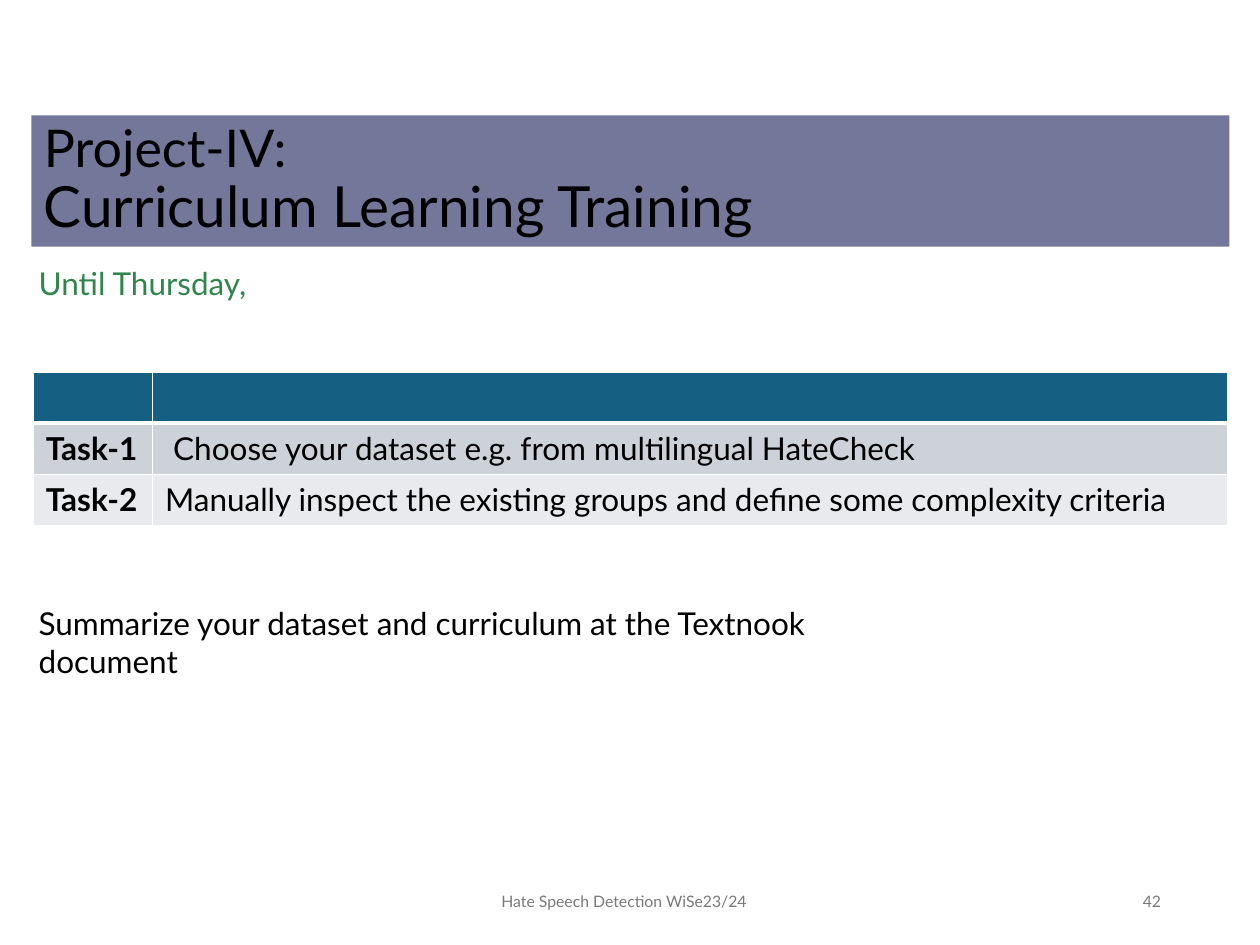
from lxml import etree
from pptx import Presentation
from pptx.dml.color import RGBColor
from pptx.enum.shapes import MSO_SHAPE
from pptx.enum.text import MSO_ANCHOR, PP_ALIGN
from pptx.oxml.ns import qn
from pptx.util import Pt

RECTANGLE = MSO_SHAPE.RECTANGLE
MIDDLE = MSO_ANCHOR.MIDDLE
LEFT, CENTER, RIGHT = PP_ALIGN.LEFT, PP_ALIGN.CENTER, PP_ALIGN.RIGHT
FONT = "Lato"
COLORS = {
    "banner": "73789B",
    "text": "000000",
    "deadline": "2F854C",
    "footer": "797979",
    "header_row": "156082",
    "odd_row": "CCD2D8",
    "even_row": "E8EAED",
    "border": "FFFFFF",
}
LINE_HEIGHT = 21.6
TASKS = [
    ("Task-1", " Choose your dataset e.g. from multilingual HateCheck"),
    ("Task-2", "Manually inspect the existing groups and define some complexity criteria"),
]


def color(name):
    """Return the named colour."""
    return RGBColor.from_string(COLORS[name])


def set_font(font, size, color_name, bold=False):
    """Set typeface, size, colour and weight of a font."""
    font.name = FONT
    font.size = Pt(size)
    font.bold = bold
    font.color.rgb = color(color_name)


def add_title(slide, lines, box):
    """Add the filled title banner with one sized run per line."""
    shape = slide.shapes.add_shape(RECTANGLE, *map(Pt, box))
    shape.shadow.inherit = False
    shape.fill.solid()
    shape.fill.fore_color.rgb = color("banner")
    shape.line.fill.background()
    shape.text_frame.word_wrap = True
    shape.text_frame.vertical_anchor = MIDDLE
    paragraph = shape.text_frame.paragraphs[0]
    paragraph.alignment = LEFT
    paragraph.line_spacing = 0.9
    for index, (text, size) in enumerate(lines):
        if index:
            paragraph.add_line_break()
        run = paragraph.add_run()
        run.text = text
        set_font(run.font, size, "text")


def add_body(slide, box):
    """Add the deadline and the closing instruction."""
    frame = slide.shapes.add_textbox(*map(Pt, box)).text_frame
    frame.word_wrap = True
    frame.margin_top = Pt(3.6 + LINE_HEIGHT)
    deadline = frame.paragraphs[0]
    deadline.text = "Until Thursday,"
    set_font(deadline.font, 18, "deadline")
    summary = frame.add_paragraph()
    summary.text = "Summarize your dataset and curriculum at the Textnook document"
    summary.space_before = Pt(8 * LINE_HEIGHT)
    set_font(summary.font, 18, "text")


def add_footer(slide, text, alignment, box):
    """Add one small grey footer text."""
    frame = slide.shapes.add_textbox(*map(Pt, box)).text_frame
    frame.word_wrap = True
    frame.vertical_anchor = MIDDLE
    paragraph = frame.paragraphs[0]
    paragraph.text = text
    paragraph.alignment = alignment
    set_font(paragraph.font, 9, "footer")


def style_cell(cell, fill_name, bottom_width):
    """Fill a cell and draw its white borders."""
    properties = cell._tc.get_or_add_tcPr()
    for side, width in (("L", 1), ("R", 1), ("T", 1), ("B", bottom_width)):
        line = etree.SubElement(properties, qn(f"a:ln{side}"), w=str(Pt(width)))
        fill = etree.SubElement(line, qn("a:solidFill"))
        etree.SubElement(fill, qn("a:srgbClr"), val=COLORS["border"])
    cell.fill.solid()
    cell.fill.fore_color.rgb = color(fill_name)


def add_task_table(slide, box, column_widths):
    """Add the task table with an empty header row."""
    rows = [("", ""), *TASKS]
    fills = ("header_row", "odd_row", "even_row")
    table = slide.shapes.add_table(len(rows), len(column_widths), *map(Pt, box)).table
    for column, width in zip(table.columns, column_widths):
        column.width = Pt(width)
    for row_index, (texts, fill_name) in enumerate(zip(rows, fills)):
        for column_index, text in enumerate(texts):
            cell = table.cell(row_index, column_index)
            style_cell(cell, fill_name, 1 if row_index else 3)
            paragraph = cell.text_frame.paragraphs[0]
            paragraph.text = text
            set_font(paragraph.font, 18, "text", bold=column_index == 0)


def main():
    """Build the project slide and save it."""
    presentation = Presentation()
    presentation.slide_width = Pt(720)
    presentation.slide_height = Pt(540)
    slide = presentation.slides.add_slide(presentation.slide_layouts[6])
    title_lines = [("Project-IV:", 29.7), ("Curriculum Learning Training", 32.4)]
    add_title(slide, title_lines, (18, 66, 684.5, 75))
    add_footer(slide, "42", RIGHT, (508.5, 500.5, 162, 28.75))
    add_footer(slide, "Hate Speech Detection WiSe23/24", CENTER, (211.5, 500.5, 290, 28.75))
    add_task_table(slide, (19, 212.5, 682.5, 87.9), (68.2, 614.3))
    add_body(slide, (15, 125.5, 530.5, 247))
    presentation.save("out.pptx")


if __name__ == "__main__":
    main()
